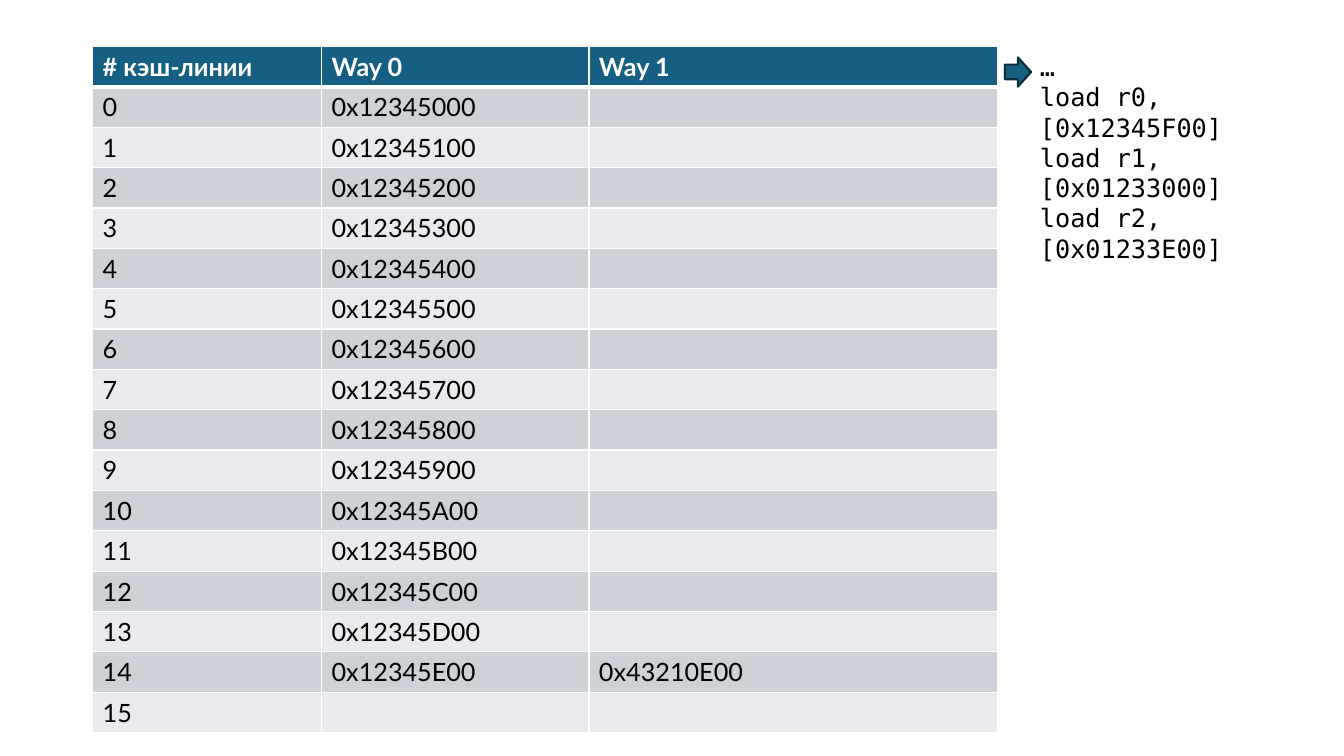
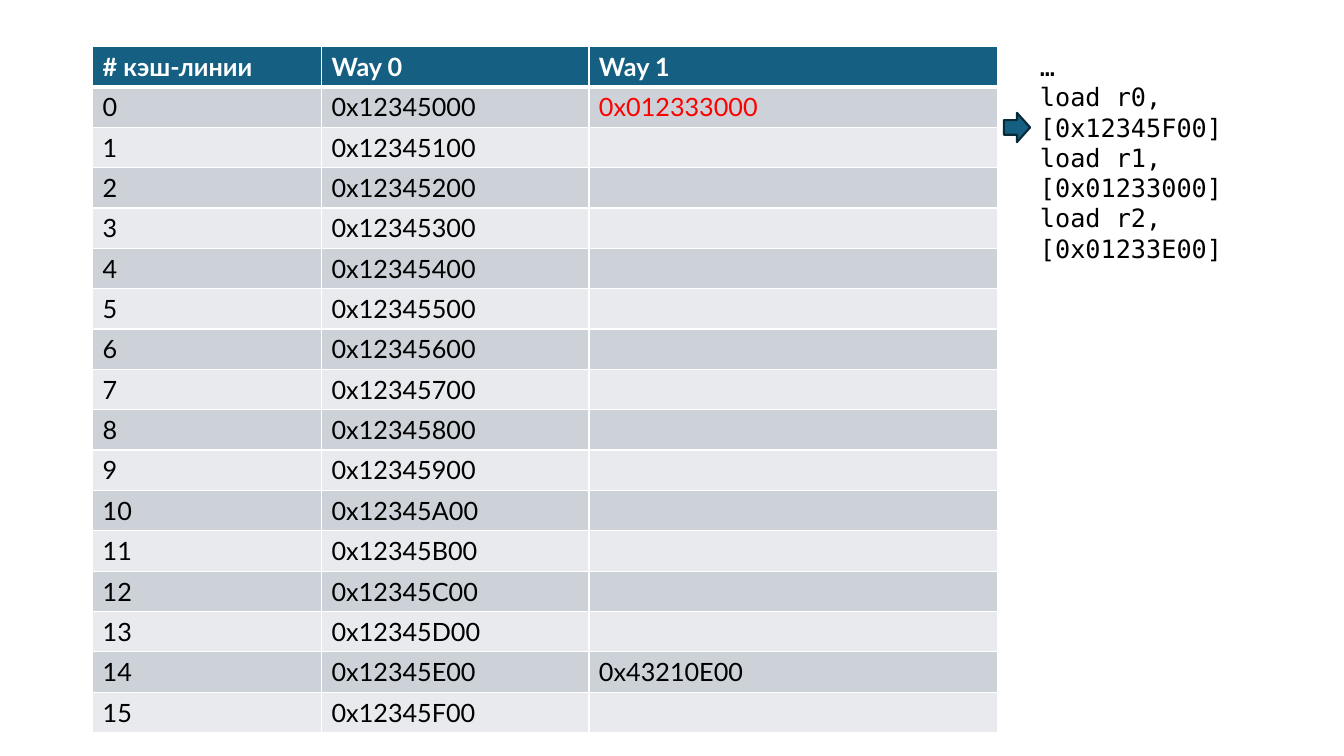
from dataclasses import dataclass, field

from lxml import etree
from pptx import Presentation
from pptx import util as u
from pptx.dml import color
from pptx.enum import shapes, text
from pptx.oxml import ns
from pptx.slide import Slide
from pptx.table import _Cell as Cell
from pptx.text.text import TextFrame

TABLE_FONT, CODE_FONT = "Lato", "DejaVu Sans Mono"
TEXT_SIZE = 18
WHITE, BLACK, RED = "FFFFFF", "000000", "FF0000"
TEAL, DARK_TEAL = "156082", "092A39"
BANDS = ("CCD2D8", "E8EAED")

HEADINGS = ("# кэш-линии", "Way 0", "Way 1")
COLUMN_WIDTHS = (163.5, 191, 292)
LINE_COUNT = 16
ROW_HEIGHT = 28.8
TABLE_LEFT, TABLE_TOP = 66.2, 33.2
CODE = ("…", "load r0, [0x12345F00]", "load r1, [0x01233000]", "load r2, [0x01233E00]")


@dataclass(frozen=True)
class CacheStep:
    """State of the cache while the arrow points at one instruction."""
    arrow_left: float
    arrow_top: float
    filled_lines: int
    way1: dict[int, str]
    loaded: set[int] = field(default_factory=set)


STEPS = (
    CacheStep(717.8, 41, 15, {14: "0x43210E00"}),
    CacheStep(717.1, 80.6, 16, {0: "0x012333000", 14: "0x43210E00"}, {0}),
)


def rgb(value: str) -> color.RGBColor:
    return color.RGBColor.from_string(value)


def write(frame: TextFrame, *lines: str, font: str, ink: str = BLACK,
          bold: bool = False, spacing: float | None = None) -> None:
    for index, line in enumerate(lines):
        para = frame.paragraphs[0] if index == 0 else frame.add_paragraph()
        if spacing:
            para.line_spacing = u.Pt(spacing)
        span = para.add_run()
        span.text = line
        span.font.name = font
        span.font.size = u.Pt(TEXT_SIZE)
        span.font.bold = bold
        span.font.color.rgb = rgb(ink)


def keep_font_when_empty(cell: Cell, font: str) -> None:
    """Give an empty cell the table font, so its row does not grow."""
    end = etree.SubElement(cell.text_frame.paragraphs[0]._p, ns.qn("a:endParaRPr"),
                           sz=str(TEXT_SIZE * 100))
    etree.SubElement(end, ns.qn("a:latin"), typeface=font)


def set_borders(cell: Cell, **widths: float) -> None:
    """Draw white borders; the keywords are the sides L, R, T and B."""
    properties = cell._tc.get_or_add_tcPr()
    for side, width in widths.items():
        line = etree.SubElement(properties, ns.qn(f"a:ln{side}"), w=str(u.Pt(width)))
        fill = etree.SubElement(line, ns.qn("a:solidFill"))
        etree.SubElement(fill, ns.qn("a:srgbClr"), val=WHITE)


def fill_cell(cell: Cell, content: str, row: int, ink: str) -> None:
    set_borders(cell, L=1, R=1, T=3 if row == 1 else 1, B=3 if row == 0 else 1)
    cell.fill.solid()
    cell.fill.fore_color.rgb = rgb(BANDS[(row - 1) % 2] if row else TEAL)
    if content:
        write(cell.text_frame, content, font=TABLE_FONT, ink=ink, bold=row == 0)
    else:
        keep_font_when_empty(cell, TABLE_FONT)


def add_cache_table(page: Slide, step: CacheStep) -> None:
    rows = [HEADINGS]
    for line in range(LINE_COUNT):
        way0 = f"0x12345{line:X}00" if line < step.filled_lines else ""
        rows.append((str(line), way0, step.way1.get(line, "")))
    table = page.shapes.add_table(
        len(rows), len(HEADINGS), u.Pt(TABLE_LEFT), u.Pt(TABLE_TOP),
        u.Pt(sum(COLUMN_WIDTHS)), u.Pt(ROW_HEIGHT * len(rows))).table
    table.horz_banding = False
    for column, width in zip(table.columns, COLUMN_WIDTHS):
        column.width = u.Pt(width)
    for row, contents in enumerate(rows):
        table.rows[row].height = u.Pt(ROW_HEIGHT)
        for column, content in enumerate(contents):
            is_new = column == 2 and row - 1 in step.loaded
            ink = WHITE if row == 0 else RED if is_new else BLACK
            fill_cell(table.cell(row, column), content, row, ink)


def add_code(page: Slide) -> None:
    box = page.shapes.add_textbox(u.Pt(735.8), u.Pt(TABLE_TOP), u.Pt(224), u.Pt(94.3))
    box.text_frame.word_wrap = True
    box.text_frame.auto_size = text.MSO_AUTO_SIZE.SHAPE_TO_FIT_TEXT
    write(box.text_frame, *CODE, font=CODE_FONT, spacing=21.6)


def add_arrow(page: Slide, left: float, top: float) -> None:
    arrow = page.shapes.add_shape(shapes.MSO_SHAPE.RIGHT_ARROW, u.Pt(left), u.Pt(top),
                                  u.Pt(18.7), u.Pt(20.9))
    arrow.shadow.inherit = False
    arrow.fill.solid()
    arrow.fill.fore_color.rgb = rgb(TEAL)
    arrow.line.color.rgb = rgb(DARK_TEAL)
    arrow.line.width = u.Pt(1.5)


def main() -> None:
    deck = Presentation()
    deck.slide_width, deck.slide_height = u.Pt(960), u.Pt(540)
    blank = deck.slide_layouts[6]
    for step in STEPS:
        page = deck.slides.add_slide(blank)
        add_cache_table(page, step)
        add_code(page)
        add_arrow(page, step.arrow_left, step.arrow_top)
    deck.save("out.pptx")


if __name__ == "__main__":
    main()
